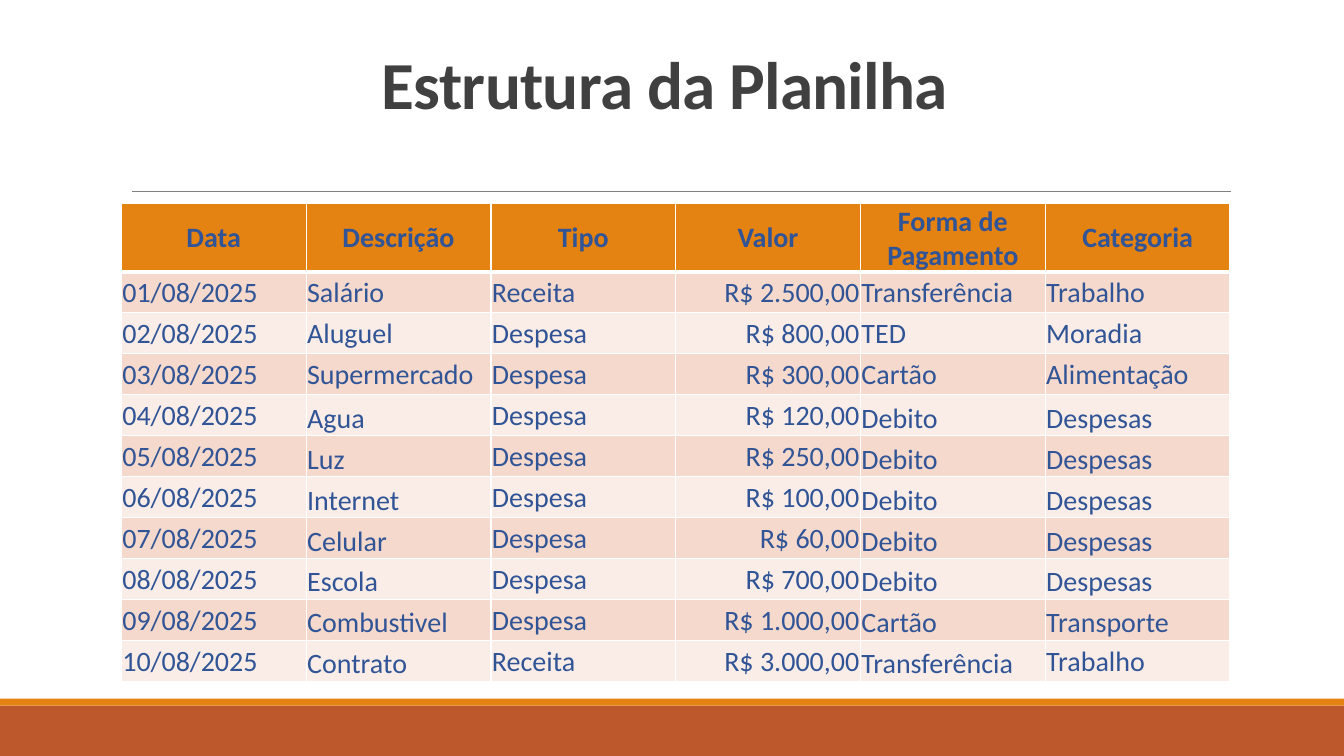
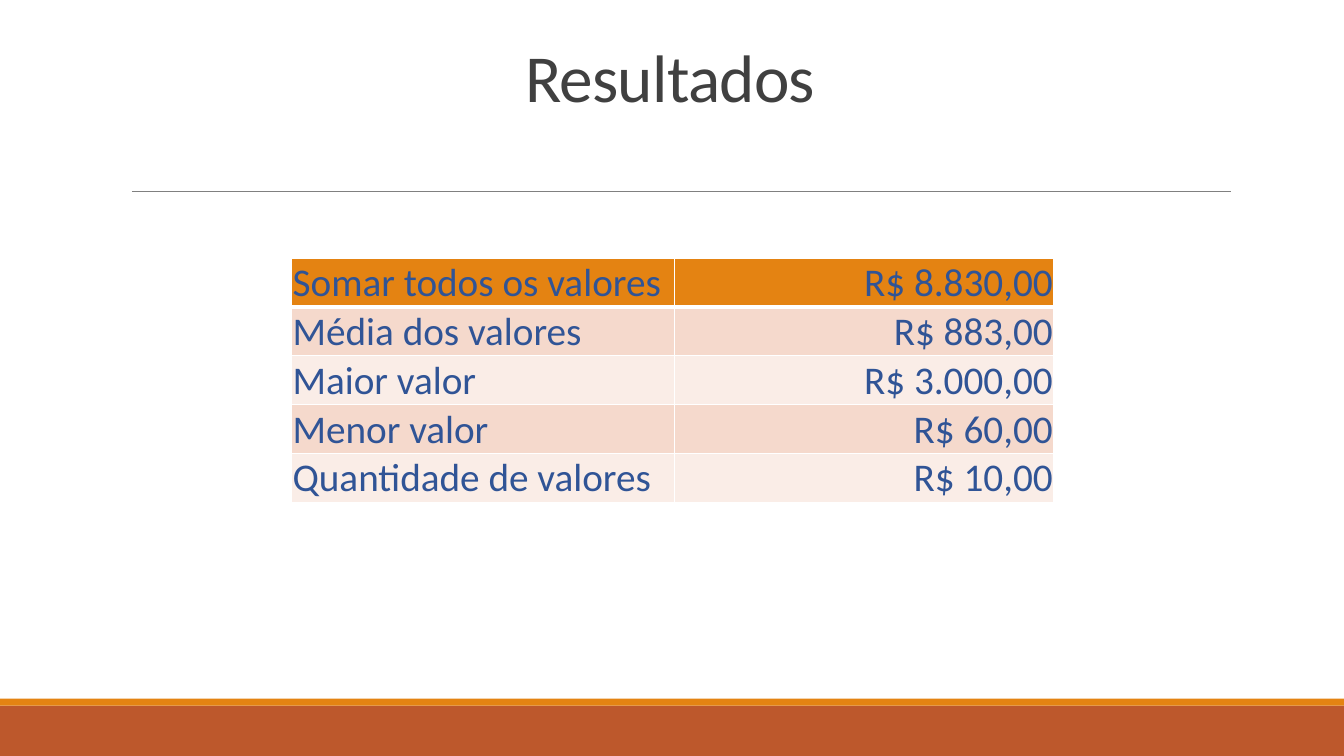
"""Builds the two budget slides: the sheet's structure and its results."""
from pptx import Presentation, util as u
from pptx.dml.color import RGBColor
from pptx.enum import shapes, text
from pptx.oxml import parse_xml
from pptx.oxml.ns import nsdecls

ORANGE, RUST, WHITE = "E48312", "BD582C", "FFFFFF"
BANDS = ["FAEDE7", "F5D9CC"]
INK, BLUE, GRAY = "404040", "305496", "808080"
FONT = "Calibri"
LEFT, CENTER, RIGHT = text.PP_ALIGN.LEFT, text.PP_ALIGN.CENTER, text.PP_ALIGN.RIGHT
MIDDLE, BOTTOM = text.MSO_ANCHOR.MIDDLE, text.MSO_ANCHOR.BOTTOM

deck = Presentation()
deck.slide_width, deck.slide_height = u.Inches(13.33), u.Inches(7.5)


def color(value):
    return RGBColor.from_string(value)


def grid(*lengths):
    """Turns left, top, width, height in percent of the slide into lengths."""
    sides = (deck.slide_width, deck.slide_height) * 2
    return [int(side * length / 100) for side, length in zip(sides, lengths)]


entries = [
    ["Data", "Descrição", "Tipo", "Valor", "Forma de Pagamento", "Categoria"],
    ["01/08/2025", "Salário", "Receita", "R$ 2.500,00", "Transferência", "Trabalho"],
    ["02/08/2025", "Aluguel", "Despesa", "R$ 800,00", "TED", "Moradia"],
    ["03/08/2025", "Supermercado", "Despesa", "R$ 300,00", "Cartão", "Alimentação"],
    ["04/08/2025", "Agua", "Despesa", "R$ 120,00", "Debito", "Despesas"],
    ["05/08/2025", "Luz", "Despesa", "R$ 250,00", "Debito", "Despesas"],
    ["06/08/2025", "Internet", "Despesa", "R$ 100,00", "Debito", "Despesas"],
    ["07/08/2025", "Celular", "Despesa", "R$ 60,00", "Debito", "Despesas"],
    ["08/08/2025", "Escola", "Despesa", "R$ 700,00", "Debito", "Despesas"],
    ["09/08/2025", "Combustivel", "Despesa", "R$ 1.000,00", "Cartão", "Transporte"],
    ["10/08/2025", "Contrato", "Receita", "R$ 3.000,00", "Transferência", "Trabalho"],
]
results = [
    ["Somar todos os valores", "R$ 8.830,00"],
    ["Média dos valores", "R$ 883,00"],
    ["Maior valor", "R$ 3.000,00"],
    ["Menor valor", "R$ 60,00"],
    ["Quantidade de valores", "R$ 10,00"],
]
lowered = {(row, col) for row in range(4, 11) for col in (1, 4, 5)} - {(10, 5)}

pages = [
    dict(title="Estrutura da Planilha", title_at=(27.68, 6.67, 44.62, 10.27), bold=True,
         rows=entries, corner=(9.03, 26.93), columns=[13.75] * 6, header=9.04, row=5.42,
         size=20, header_align=CENTER, money=3, lowered=lowered),
    dict(title="Resultados", title_at=(38.33, 5.73, 23.32, 10.27), bold=False,
         rows=results, corner=(21.7, 34.13), columns=[28.5, 28.2], header=6.47, row=6.47,
         size=28, header_align=None, money=1, lowered=set()),
]

for page in pages:
    slide = deck.slides.add_slide(deck.slide_layouts[6])

    for fill, top, height in [(RUST, 93.33, 6.67), (ORANGE, 92.4, 0.93)]:
        band = slide.shapes.add_shape(shapes.MSO_SHAPE.RECTANGLE, *grid(0, top, 100, height))
        band.shadow.inherit = False
        band.fill.solid()
        band.fill.fore_color.rgb = color(fill)
        band.line.fill.background()

    rule = slide.shapes.add_connector(shapes.MSO_CONNECTOR.STRAIGHT,
                                      *grid(9.82, 25.33, 91.58, 25.33))
    rule.line.color.rgb = color(GRAY)
    rule.line.width = u.Pt(0.5)
    rule._element.spPr.append(parse_xml(f"<a:effectLst {nsdecls('a')}/>"))

    frame = slide.shapes.add_textbox(*grid(*page["title_at"])).text_frame
    frame.word_wrap = True
    frame.vertical_anchor = BOTTOM
    heading = frame.paragraphs[0]
    heading.line_spacing = 0.85
    run = heading.add_run()
    run.text = page["title"]
    for name, value in dict(name=FONT, size=u.Pt(48), bold=page["bold"]).items():
        setattr(run.font, name, value)
    run.font.color.rgb = color(INK)
    run._r.get_or_add_rPr().set("spc", "-50")

    rows, columns = page["rows"], page["columns"]
    height = page["header"] + page["row"] * (len(rows) - 1)
    table = slide.shapes.add_table(len(rows), len(columns),
                                   *grid(*page["corner"], sum(columns), height)).table
    for column, width in zip(table.columns, columns):
        column.width = grid(width)[0]

    for r, values in enumerate(rows):
        table.rows[r].height = grid(0, page["row"] if r else page["header"])[1]
        for c, value in enumerate(values):
            cell = table.cell(r, c)
            layout = dict(margin_left=u.Inches(0.01), margin_right=u.Inches(0.01),
                          margin_top=u.Inches(0.01), margin_bottom=0,
                          vertical_anchor=BOTTOM if (r, c) in page["lowered"] else MIDDLE)
            for name, setting in layout.items():
                setattr(cell, name, setting)

            borders = dict(lnL=1, lnR=1, lnT=3 if r == 1 else 1, lnB=1 if r else 3)
            for side, points in borders.items():
                cell._tc.get_or_add_tcPr().append(parse_xml(
                    f'<a:{side} {nsdecls("a")} w="{u.Pt(points)}"><a:solidFill>'
                    f'<a:srgbClr val="{WHITE}"/></a:solidFill></a:{side}>'))
            cell.fill.solid()
            cell.fill.fore_color.rgb = color(BANDS[r % 2] if r else ORANGE)

            entry = cell.text_frame.paragraphs[0]
            entry.alignment = RIGHT if c == page["money"] else LEFT
            if r == 0 and page["header_align"] is not None:
                entry.alignment = page["header_align"]
            run = entry.add_run()
            run.text = value
            style = dict(name=FONT, size=u.Pt(page["size"]), bold=r == 0 and page["bold"])
            for name, setting in style.items():
                setattr(run.font, name, setting)
            run.font.color.rgb = color(BLUE)

deck.save("out.pptx")
